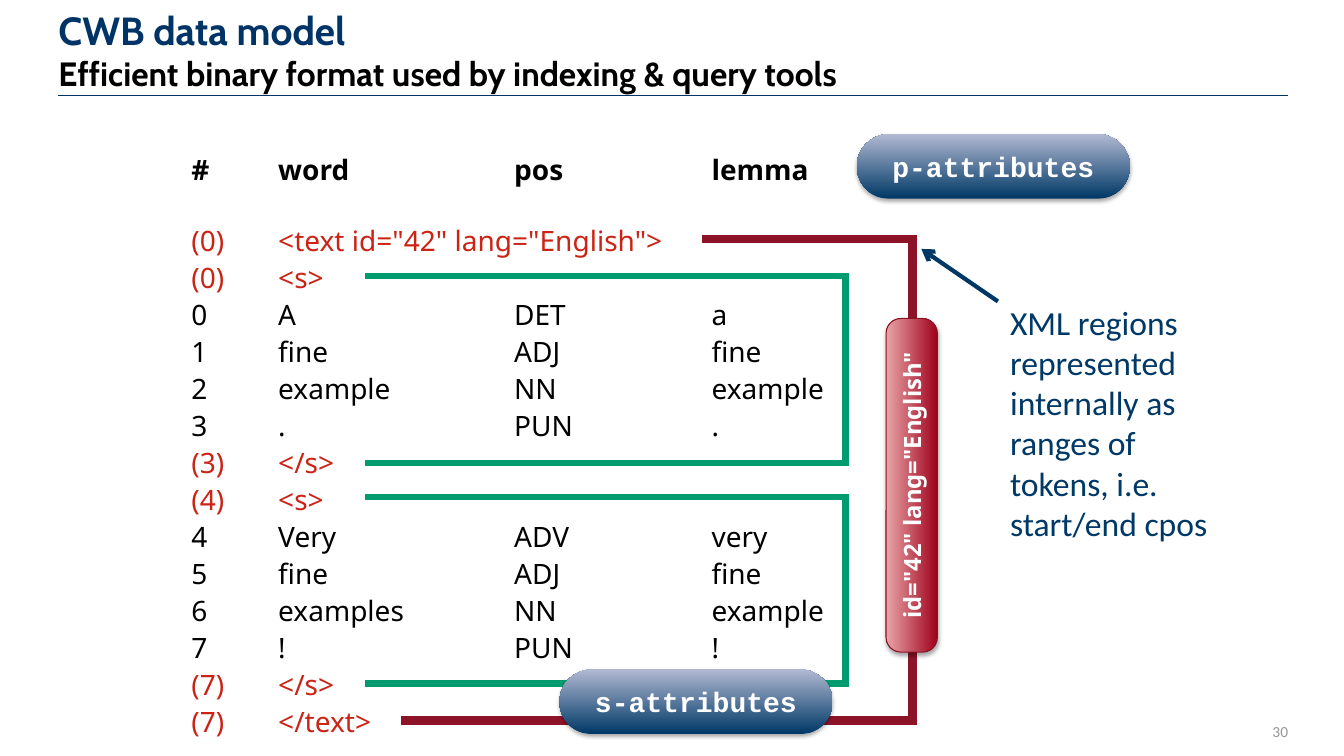
from dataclasses import dataclass

from lxml import etree
from pptx import Presentation
from pptx.dml.color import RGBColor
from pptx.enum.shapes import MSO_CONNECTOR, MSO_SHAPE
from pptx.enum.text import MSO_ANCHOR, PP_ALIGN
from pptx.oxml.ns import qn
from pptx.util import Pt

ROUNDED = MSO_SHAPE.ROUNDED_RECTANGLE
STRAIGHT = MSO_CONNECTOR.STRAIGHT
TOP, MIDDLE, BOTTOM = MSO_ANCHOR.TOP, MSO_ANCHOR.MIDDLE, MSO_ANCHOR.BOTTOM
LEFT, CENTER, RIGHT = PP_ALIGN.LEFT, PP_ALIGN.CENTER, PP_ALIGN.RIGHT

NAVY, BLUE, BLACK, WHITE = "003366", "003866", "000000", "FFFFFF"
TAG_RED, GREEN, DARK_RED, GREY = "CB2315", "009B6E", "8D1428", "969696"


@dataclass
class Style:
    font: str
    size: float
    color: str
    bold: bool = False
    align: PP_ALIGN = LEFT
    line_height: float | None = None
    space_after: float = 0
    tabs: tuple[float, ...] = ()


@dataclass
class Bracket:
    """Line around a region, open to the left."""
    top_start: float
    bottom_start: float
    right: float
    top: float
    bottom: float
    color: str
    width: float


@dataclass
class Pill:
    text: str
    left: float
    top: float
    width: float
    height: float
    dark: str
    light: str
    style: Style
    roundness: float = 0.5
    rotation: float = 0
    outline: str | None = None


def rgb(color: str) -> RGBColor:
    return RGBColor.from_string(color)


def write(frame, lines: list[tuple[str, Style]], anchor=TOP, inset: float = 0) -> None:
    frame.word_wrap = True
    frame.vertical_anchor = anchor
    frame.margin_left = frame.margin_right = Pt(inset)
    frame.margin_top = frame.margin_bottom = Pt(inset)
    for index, (text, style) in enumerate(lines):
        paragraph = frame.paragraphs[0] if index == 0 else frame.add_paragraph()
        paragraph.text = text
        paragraph.alignment = style.align
        if style.line_height:
            paragraph.line_spacing = Pt(style.line_height)
        if style.space_after:
            paragraph.space_after = Pt(style.space_after)
        if style.tabs:
            tab_list = etree.SubElement(paragraph._p.get_or_add_pPr(), qn("a:tabLst"))
            for position in style.tabs:
                etree.SubElement(tab_list, qn("a:tab"), pos=str(Pt(position)), algn="l")
        paragraph.font.name = style.font
        paragraph.font.size = Pt(style.size)
        paragraph.font.bold = style.bold
        paragraph.font.color.rgb = rgb(style.color)


def add_text(slide, left: float, top: float, width: float, height: float,
             lines: list[tuple[str, Style]], anchor=TOP, inset: float = 0) -> None:
    box = slide.shapes.add_textbox(Pt(left), Pt(top), Pt(width), Pt(height))
    write(box.text_frame, lines, anchor, inset)


def add_line(slide, start: tuple[float, float], end: tuple[float, float],
             color: str, width: float, arrow: bool = False) -> None:
    line = slide.shapes.add_connector(STRAIGHT, *map(Pt, start + end))
    line.line.color.rgb = rgb(color)
    line.line.width = Pt(width)
    properties = line._element.spPr
    if arrow:
        etree.SubElement(properties.find(qn("a:ln")), qn("a:tailEnd"), type="arrow")
    etree.SubElement(properties, qn("a:effectLst"))


def add_bracket(slide, bracket: Bracket) -> None:
    builder = slide.shapes.build_freeform(Pt(bracket.top_start), Pt(bracket.top))
    corners = [(bracket.right, bracket.top), (bracket.right, bracket.bottom),
               (bracket.bottom_start, bracket.bottom)]
    builder.add_line_segments([(Pt(x), Pt(y)) for x, y in corners], close=False)
    shape = builder.convert_to_shape()
    shape.shadow.inherit = False
    shape.fill.background()
    shape.line.color.rgb = rgb(bracket.color)
    shape.line.width = Pt(bracket.width)
    outline = shape._element.spPr.find(qn("a:ln"))
    etree.SubElement(outline, qn("a:miter"), lim="800000")


def add_pill(slide, pill: Pill) -> None:
    shape = slide.shapes.add_shape(
        ROUNDED, Pt(pill.left), Pt(pill.top), Pt(pill.width), Pt(pill.height))
    shape.adjustments[0] = pill.roundness
    shape.rotation = pill.rotation
    shape.fill.gradient()
    shape.fill.gradient_angle = 90
    for stop, color in zip(shape.fill.gradient_stops, (pill.dark, pill.light)):
        stop.color.rgb = rgb(color)
    if pill.outline:
        shape.line.color.rgb = rgb(pill.outline)
        shape.line.width = Pt(0.75)
    else:
        shape.line.fill.background()
    # Soft shadow straight below
    shape.shadow.inherit = False
    effects = shape._element.spPr.find(qn("a:effectLst"))
    shadow = etree.SubElement(effects, qn("a:outerShdw"), blurRad=str(Pt(3.1)),
                              dist=str(Pt(1.8)), dir="5400000", rotWithShape="0")
    shade = etree.SubElement(shadow, qn("a:srgbClr"), val=BLACK)
    etree.SubElement(shade, qn("a:alpha"), val="35000")
    write(shape.text_frame, [(pill.text, pill.style)], MIDDLE)


TITLE = Style("Cabin", 28, NAVY, bold=True, line_height=28)
SUBTITLE = Style("Cabin", 24, BLACK, bold=True, line_height=28)
COLUMNS = (62, 230.5, 371.5)
ROW_HEIGHT = 26.38
HEADER = Style("Noto Sans", 20, BLACK, bold=True, line_height=ROW_HEIGHT,
               space_after=24.4, tabs=COLUMNS)
TOKEN = Style("Noto Sans", 20, BLACK, line_height=ROW_HEIGHT, tabs=COLUMNS)
TAG = Style("Noto Sans", 20, TAG_RED, line_height=ROW_HEIGHT, tabs=COLUMNS)
NOTE = Style("Calibri", 24, BLUE, line_height=28.8)
ATTRIBUTE = Style("Courier New", 20, WHITE, bold=True, align=CENTER)
REGION = Style("Noto Sans", 17, WHITE, bold=True, align=CENTER)
PAGE = Style("Calibri", 11, GREY, align=RIGHT)

CORPUS = [
    ("(0)", '<text id="42" lang="English">'),
    ("(0)", "<s>"),
    ("0", "A", "DET", "a"),
    ("1", "fine", "ADJ", "fine"),
    ("2", "example", "NN", "example"),
    ("3", ".", "PUN", "."),
    ("(3)", "</s>"),
    ("(4)", "<s>"),
    ("4", "Very", "ADV", "very"),
    ("5", "fine", "ADJ", "fine"),
    ("6", "examples", "NN", "example"),
    ("7", "!", "PUN", "!"),
    ("(7)", "</s>"),
    ("(7)", "</text>"),
]
NOTE_LINES = ["XML regions", "represented", "internally as", "ranges of",
              "tokens, i.e.", "start/end cpos"]
BRACKETS = [Bracket(260.8, 260.8, 604, top, top + 133.2, GREEN, 4.5)
            for top in (197.3, 355)]
BRACKETS.append(Bracket(501.8, 286.6, 651.9, 170.6, 514.8, DARK_RED, 6))
PILLS = [
    Pill('id="42" lang="English"', 532.1, 328.3, 238.3, 36.7, "9F021C", "E9A5A8",
         REGION, roundness=0.29, rotation=270, outline="8D1125"),
    Pill("s-attributes", 399.6, 478.2, 195.1, 46.1, BLUE, "B1B9D2", ATTRIBUTE),
    Pill("p-attributes", 612, 95.8, 195.1, 46.1, BLUE, "B1B9D2", ATTRIBUTE),
]


def main() -> None:
    presentation = Presentation()
    presentation.slide_width, presentation.slide_height = Pt(960), Pt(540)
    slide = presentation.slides.add_slide(presentation.slide_layouts[6])

    # Heading
    add_line(slide, (920.2, 68), (41.8, 68), NAVY, 0.75)
    add_text(slide, 41.8, 9.4, 607.7, 56.9, [
        ("CWB data model", TITLE),
        ("Efficient binary format used by indexing & query tools", SUBTITLE)], BOTTOM)

    # Corpus rows, with tags in red
    rows = [("#\tword\tpos\tlemma", HEADER)]
    rows += [("\t".join(row), TAG if len(row) == 2 else TOKEN) for row in CORPUS]
    add_text(slide, 131, 101, 697.7, 422.6, rows, inset=5.76)

    # Note on regions
    add_text(slide, 721.5, 215.3, 150, 174.2, [(line, NOTE) for line in NOTE_LINES])
    add_line(slide, (712.8, 215.3), (658.1, 177.8), "003865", 3, arrow=True)

    # Regions and attribute labels
    for bracket in BRACKETS:
        add_bracket(slide, bracket)
    for pill in PILLS:
        add_pill(slide, pill)

    # Page number
    add_text(slide, 872.6, 504.7, 47.5, 35.3, [("30", PAGE)], MIDDLE)

    presentation.save("out.pptx")


if __name__ == "__main__":
    main()
